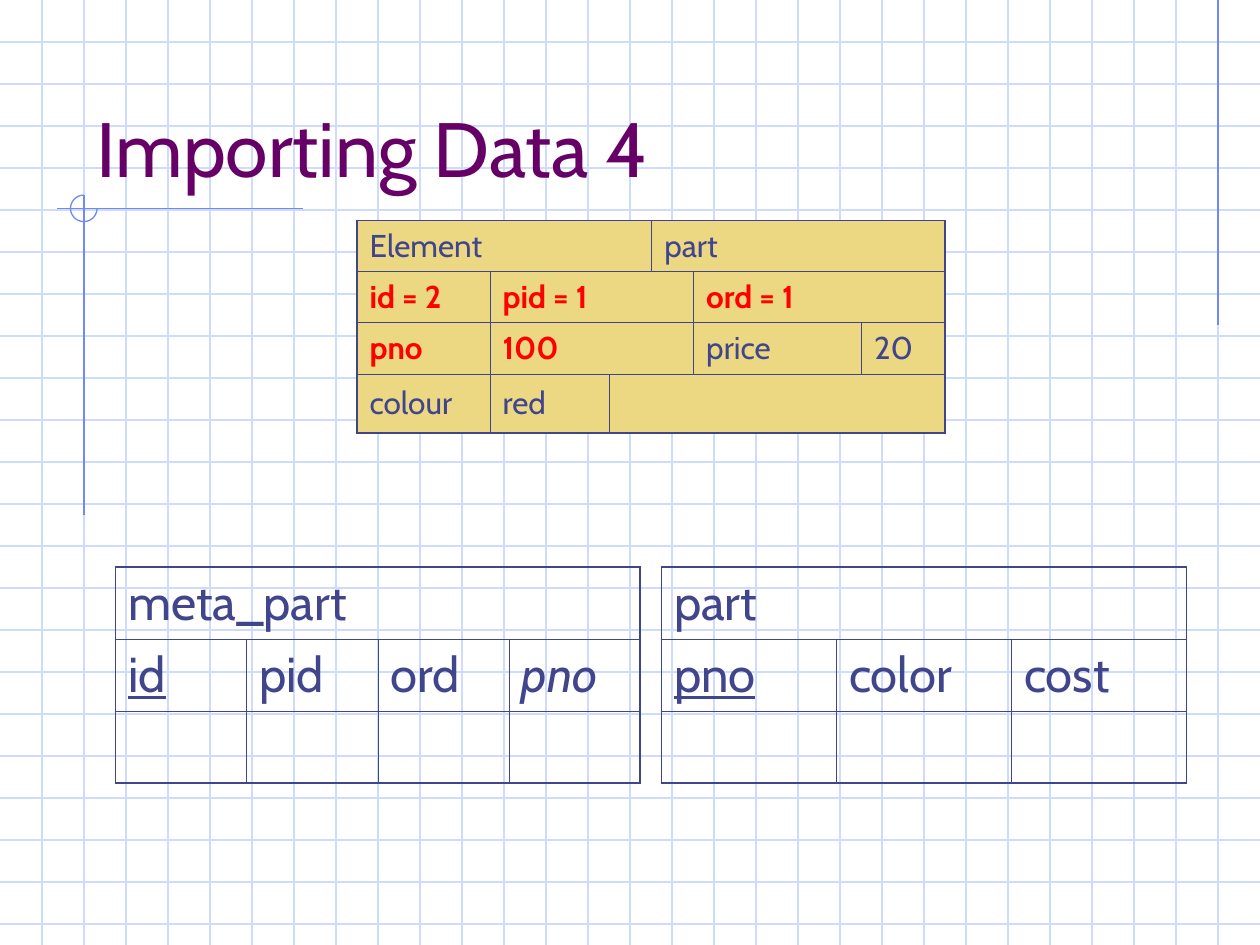
import pptx
import pptx.util
import pptx.dml.color
import pptx.enum.shapes
import pptx.enum.text
import pptx.oxml
import pptx.oxml.ns

Pt = pptx.util.Pt
INK, RED, GOLD = "40458C", "FF0000", "ECD882"
PALE, BLUE, PLUM = "CFDBFD", "6F89F7", "660066"
WIDE, HIGH, STEP = 720, 540, 24
HOT = {"color": RED, "bold": True}

TITLE = "Importing Data 4"
RULES = [(696, 0, 696, 186), (173, 119.2, 32.6, 119.2), (48, 111.5, 48, 294.5)]
TABLES = [
    {
        "at": (204, 126), "cols": [76, 68.4, 24, 24, 96, 47.6],
        "rows": [29.1, 29.2, 29.4, 33.6], "size": 18, "fill": GOLD,
        "cells": [
            [("Element", 3, {}), ("part", 3, {})],
            [("id = 2", 1, HOT), ("pid = 1", 3, HOT), ("ord = 1", 2, HOT)],
            [("pno", 1, HOT), ("100", 3, HOT), ("price", 1, {}), ("20", 1, {})],
            [("colour", 1, {}), ("red", 1, {}), ("", 4, {})],
        ],
    },
    {
        "at": (66, 324), "cols": [75] * 4, "rows": [41] * 3,
        "size": 28, "fill": None,
        "cells": [
            [("meta_part", 4, {})],
            [("id", 1, {"underline": True}), ("pid", 1, {}), ("ord", 1, {}),
             ("pno", 1, {"italic": True})],
            [("", 1, {})] * 4,
        ],
    },
    {
        "at": (378, 324), "cols": [100] * 3, "rows": [41] * 3,
        "size": 28, "fill": None,
        "cells": [
            [("part", 3, {})],
            [("pno", 1, {"underline": True}), ("color", 1, {}), ("cost", 1, {})],
            [("", 1, {})] * 3,
        ],
    },
]


def paint(target, color):
    target.rgb = pptx.dml.color.RGBColor.from_string(color)


def write(frame, text, size=18, color=INK, **style):
    para = frame.paragraphs[0]
    para.alignment = pptx.enum.text.PP_ALIGN.LEFT
    run = para.add_run()
    run.text = text
    run.font.name = "Cabin"
    run.font.size = Pt(size)
    paint(run.font.color, color)
    for name, value in style.items():
        setattr(run.font, name, value)


def stroke(shape, color):
    shape.line.width = Pt(0.75)
    paint(shape.line.color, color)


def rule(shapes, ends, color):
    line = shapes.add_connector(
        pptx.enum.shapes.MSO_CONNECTOR.STRAIGHT, *map(Pt, ends))
    stroke(line, color)
    props = line.element.spPr
    props.append(props.makeelement(pptx.oxml.ns.qn("a:effectLst"), {}))


def edge(props, side, width):
    fill = "<a:noFill/>"
    if width:
        fill = f'<a:solidFill><a:srgbClr val="{INK}"/></a:solidFill>'
    props.append(pptx.oxml.parse_xml(
        f'<a:ln{side} {pptx.oxml.ns.nsdecls("a")} w="{int(Pt(width))}">'
        f"{fill}</a:ln{side}>"))


def grid(shapes, data):
    cols, rows = data["cols"], data["rows"]
    count, deep = len(cols), len(rows)
    frame = shapes.add_table(
        deep, count, *map(Pt, (*data["at"], sum(cols), sum(rows))))
    table = frame.table
    table.first_row = table.horz_banding = False
    for col, width in zip(table.columns, cols):
        col.width = Pt(width)
    for row, height in zip(table.rows, rows):
        row.height = Pt(height)
    boxes = frame.element.xpath(".//a:tc")

    def width(outer):
        return 1.08 if outer else 0.45

    for y, line in enumerate(data["cells"]):
        x = 0
        for text, span, style in line:
            end = x + span
            for c in range(x, end):
                props = boxes[y * count + c].get_or_add_tcPr()
                edge(props, "L", width(c == 0) if c == x else 0)
                last = c == end - 1 or c == x
                edge(props, "R", width(end == count) if last else 0)
                edge(props, "T", width(y == 0))
                edge(props, "B", width(y == deep - 1))
                cell = table.cell(y, c)
                if data["fill"]:
                    cell.fill.solid()
                    paint(cell.fill.fore_color, data["fill"])
                else:
                    cell.fill.background()
            cell = table.cell(y, x)
            if span > 1:
                cell.merge(table.cell(y, end - 1))
            cell.vertical_anchor = pptx.enum.text.MSO_ANCHOR.MIDDLE
            if text:
                write(cell.text_frame, text, size=data["size"], **style)
            x = end


def main():
    deck = pptx.Presentation()
    deck.slide_width, deck.slide_height = Pt(WIDE), Pt(HIGH)
    slide = deck.slides.add_slide(deck.slide_layouts[5])
    shapes = slide.shapes

    for y in range(STEP, HIGH, STEP):
        rule(shapes, (0, y, WIDE, y), PALE)
    for x in range(STEP, WIDE, STEP):
        rule(shapes, (x, 0, x, HIGH), PALE)
    for ends in RULES:
        rule(shapes, ends, BLUE)

    arc = shapes.add_shape(
        pptx.enum.shapes.MSO_SHAPE.ARC, Pt(40.3), Pt(111.5), Pt(15.2), Pt(15.2))
    arc.adjustments[0], arc.adjustments[1] = 0, 162
    arc.shadow.inherit = False
    arc.fill.background()
    stroke(arc, BLUE)

    title = shapes.title
    title.left, title.top, title.width, title.height = map(Pt, (48, 24, 612, 90))
    frame = title.text_frame
    frame.word_wrap = True
    frame.auto_size = pptx.enum.text.MSO_AUTO_SIZE.NONE
    frame.vertical_anchor = pptx.enum.text.MSO_ANCHOR.BOTTOM
    write(frame, TITLE, size=44, color=PLUM)
    shapes.element.append(title.element)

    for data in TABLES:
        grid(shapes, data)
    deck.save("out.pptx")


if __name__ == "__main__":
    main()
